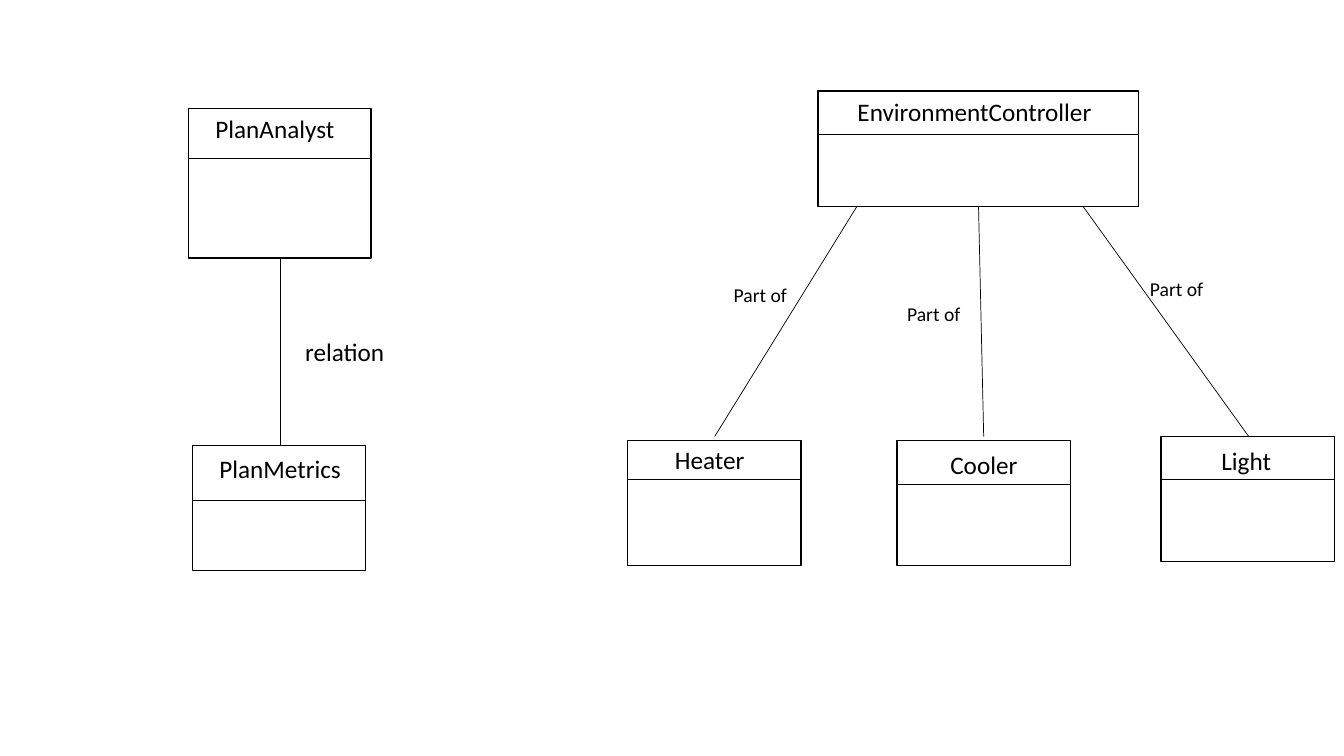
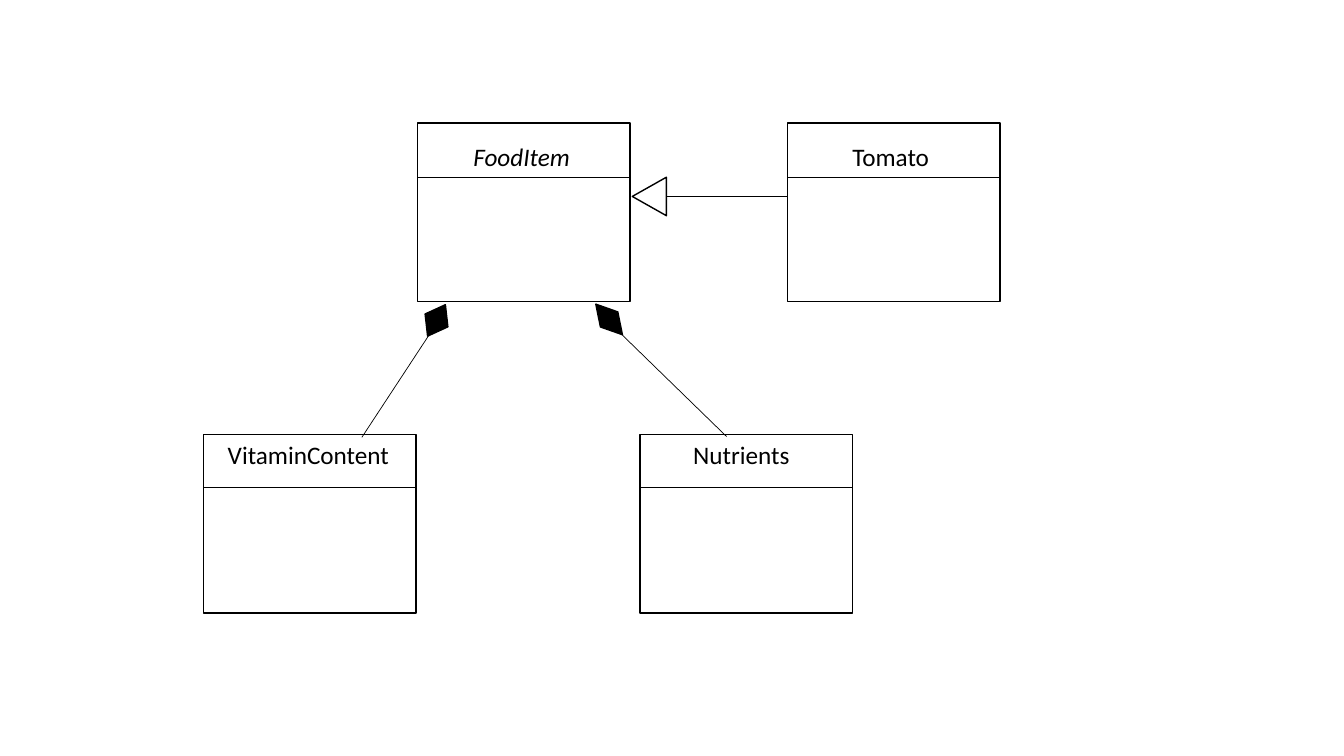
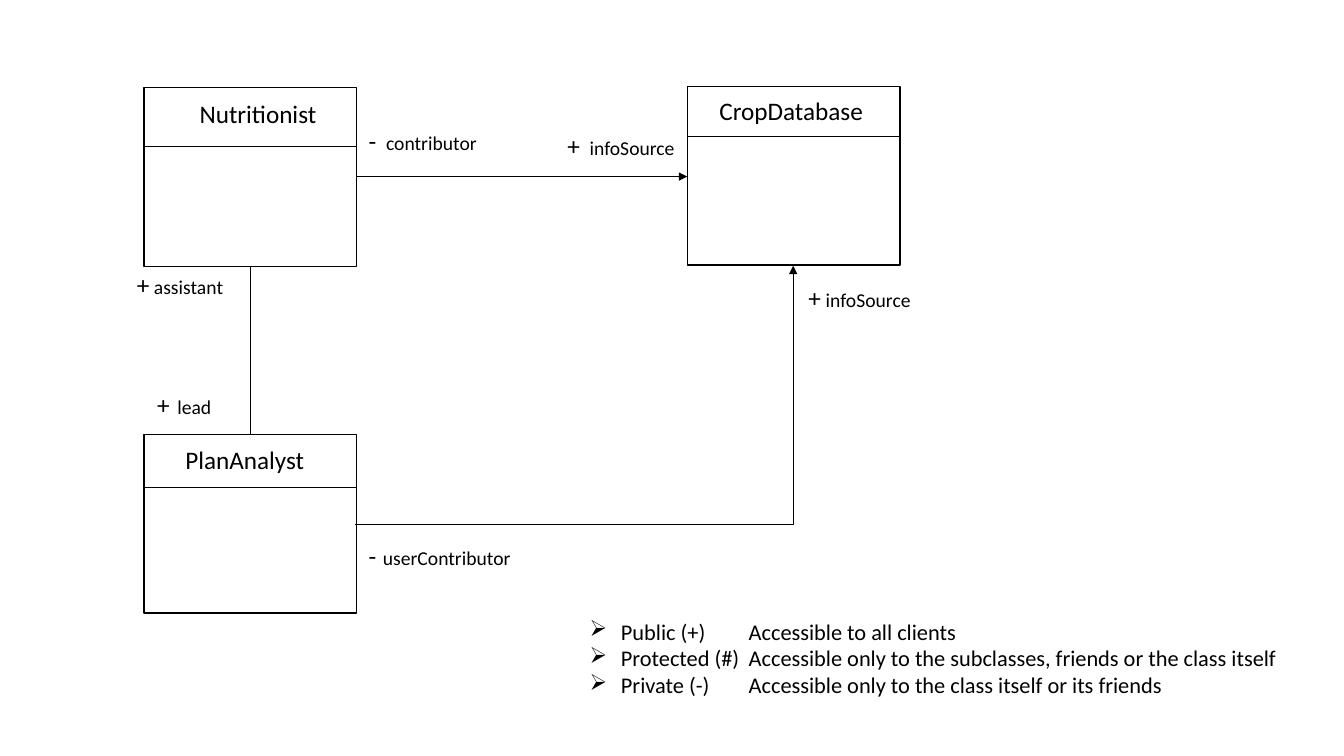
"""Builds three slides of UML class diagrams."""
from dataclasses import dataclass

from lxml import etree
from pptx import Presentation
from pptx import util as u
from pptx.dml.color import RGBColor
from pptx.enum import shapes, text
from pptx.oxml import ns


@dataclass(frozen=True)
class Theme:
    ink: RGBColor = RGBColor(0, 0, 0)
    paper: RGBColor = RGBColor(255, 255, 255)
    font: str = "Calibri"
    name_size: float = 18
    legend_size: float = 16
    label_size: float = 14
    outline: float = 1
    thin: float = 0.5


THEME = Theme()
CLASS_SIZE = (5.36, 4.5)
PART_SIZE = (4.37, 3.15)


def add_text(page, content, left, top, width=4, size=THEME.name_size, italic=False):
    box = page.shapes.add_textbox(u.Cm(left), u.Cm(top), u.Cm(width), u.Cm(1))
    frame = box.text_frame
    frame.word_wrap = True
    frame.auto_size = text.MSO_AUTO_SIZE.SHAPE_TO_FIT_TEXT
    frame.text = content
    for para in frame.paragraphs:
        for span in para.runs:
            span.font.name = THEME.font
            span.font.size = u.Pt(size)
            span.font.italic = italic
            span.font.color.rgb = THEME.ink
    return box


def add_figure(page, kind, left, top, width, height, fill=THEME.paper, rotation=0):
    figure = page.shapes.add_shape(kind, u.Cm(left), u.Cm(top), u.Cm(width), u.Cm(height))
    figure.shadow.inherit = False
    figure.fill.solid()
    figure.fill.fore_color.rgb = fill
    figure.line.color.rgb = THEME.ink
    figure.line.width = u.Pt(THEME.outline)
    figure.rotation = rotation


def add_line(page, start, end, arrow=False, bent=False):
    kind = shapes.MSO_CONNECTOR.ELBOW if bent else shapes.MSO_CONNECTOR.STRAIGHT
    points = [u.Cm(value) for value in (*start, *end)]
    line = page.shapes.add_connector(kind, *points)
    line.line.color.rgb = THEME.ink
    line.line.width = u.Pt(THEME.thin)
    properties = line.element.spPr
    if bent:
        properties.find(ns.qn("a:prstGeom")).set("prst", "bentConnector2")
    if arrow:
        outline = properties.find(ns.qn("a:ln"))
        etree.SubElement(outline, ns.qn("a:tailEnd"), type="triangle")
    etree.SubElement(properties, ns.qn("a:effectLst"))


def add_class(page, name, left, top, divider, name_offset, size=CLASS_SIZE, italic=False):
    width, height = size
    add_figure(page, shapes.MSO_SHAPE.RECTANGLE, left, top, width, height)
    add_line(page, (left, top + divider), (left + width, top + divider))
    dx, dy = name_offset
    add_text(page, name, left + dx, top + dy, width=width - dx, italic=italic)


def add_role(page, sign, role, left, top, gap):
    add_text(page, sign, left, top, width=0.75)
    add_text(page, role, left + gap, top + 0.14, size=THEME.label_size)


def add_legend(page, entries, left, top, width, indent, tab):
    content = "\n".join("\t".join(entry) for entry in entries)
    box = add_text(page, content, left, top, width=width, size=THEME.legend_size)
    for para in box.text_frame.paragraphs:
        properties = para._p.get_or_add_pPr()
        properties.set("marL", str(u.Cm(indent)))
        properties.set("indent", str(-u.Cm(indent)))
        etree.SubElement(properties, ns.qn("a:buChar"), char="➢")
        tabs = etree.SubElement(properties, ns.qn("a:tabLst"))
        etree.SubElement(tabs, ns.qn("a:tab"), pos=str(u.Cm(tab)), algn="l")


def build_associations(page):
    add_class(page, "PlanAnalyst", 4.75, 2.74, 1.25, (0.43, 0), size=(4.6, 3.76))
    add_class(page, "PlanMetrics", 4.85, 11.23, 1.37, (0.43, 0.07), size=PART_SIZE)
    add_line(page, (7.06, 6.5), (7.06, 11.23))
    add_text(page, "relation", 7.44, 8.36)

    add_class(page, "EnvironmentController", 20.62, 2.29, 1.1, (0.74, 0.02), size=(8.08, 2.92))
    parts = [
        ("Heater", (15.82, 11.1), 0.98, (0.94, -0.03), (21.59, 18.01), (18.24, 7.01)),
        ("Cooler", (22.61, 11.1), 1.1, (1.09, 0.1), (24.66, 24.79), (22.61, 7.49)),
        ("Light", (29.26, 11), 1.07, (1.27, 0.1), (27.3, 31.47), (28.73, 6.86)),
    ]
    for name, corner, divider, offset, (start, end), label in parts:
        add_class(page, name, *corner, divider, offset, size=PART_SIZE)
        add_line(page, (start, 5.21), (end, 11))
        add_text(page, "Part of", *label, width=1.96, size=THEME.label_size)


def build_composition(page):
    add_class(page, "FoodItem", 10.52, 3.1, 1.36, (1.16, 0.33), italic=True)
    add_class(page, "Tomato", 19.84, 3.1, 1.36, (1.39, 0.33))
    add_class(page, "VitaminContent", 5.13, 10.95, 1.34, (0.36, 0))
    add_class(page, "Nutrients", 16.13, 10.95, 1.34, (1.09, 0))

    triangle = shapes.MSO_SHAPE.ISOSCELES_TRIANGLE
    add_figure(page, triangle, 15.88, 4.52, 0.97, 0.86, rotation=270)
    add_line(page, (16.79, 4.95), (19.84, 4.95))

    diamond = shapes.MSO_SHAPE.FLOWCHART_DECISION
    add_figure(page, diamond, 10.67, 7.62, 0.66, 0.91, fill=THEME.ink, rotation=29.5)
    add_figure(page, diamond, 15.06, 7.54, 0.58, 1.02, fill=THEME.ink, rotation=319)
    add_line(page, (10.8, 8.46), (9.12, 11.02))
    add_line(page, (15.67, 8.43), (18.31, 11))


def build_visibility(page):
    add_class(page, "Nutritionist", 3.63, 2.21, 1.49, (1.15, 0.15))
    add_class(page, "CropDatabase", 17.32, 2.18, 1.25, (0.56, 0.1))
    add_class(page, "PlanAnalyst", 3.63, 10.95, 1.32, (0.79, 0.12))

    add_line(page, (8.99, 4.45), (17.32, 4.45), arrow=True)
    add_line(page, (8.94, 13.21), (19.99, 6.7), arrow=True, bent=True)
    add_line(page, (6.32, 6.71), (6.32, 10.95))

    add_role(page, "-", "contributor", 9.04, 3.03, 0.44)
    add_role(page, "+", "infoSource", 14.05, 3.15, 0.56)
    add_role(page, "-", "userContributor", 9.04, 13.49, 0.36)
    add_role(page, "+", "infoSource", 20.12, 6.99, 0.44)
    add_role(page, "+", "assistant", 3.2, 6.66, 0.43)
    add_role(page, "+", "lead", 3.71, 9.68, 0.51)

    entries = [
        ("Public (+)", "Accessible to all clients"),
        ("Protected (#)", "Accessible only to the subclasses, friends or the class itself"),
        ("Private (-)", "Accessible only to the class itself or its friends"),
    ]
    add_legend(page, entries, 14.61, 15.44, width=19.1, indent=0.79, tab=4.01)


def main():
    deck = Presentation()
    deck.slide_width, deck.slide_height = u.Cm(33.87), u.Cm(19.05)
    for build in (build_associations, build_composition, build_visibility):
        build(deck.slides.add_slide(deck.slide_layouts[6]))
    deck.save("out.pptx")


if __name__ == "__main__":
    main()
